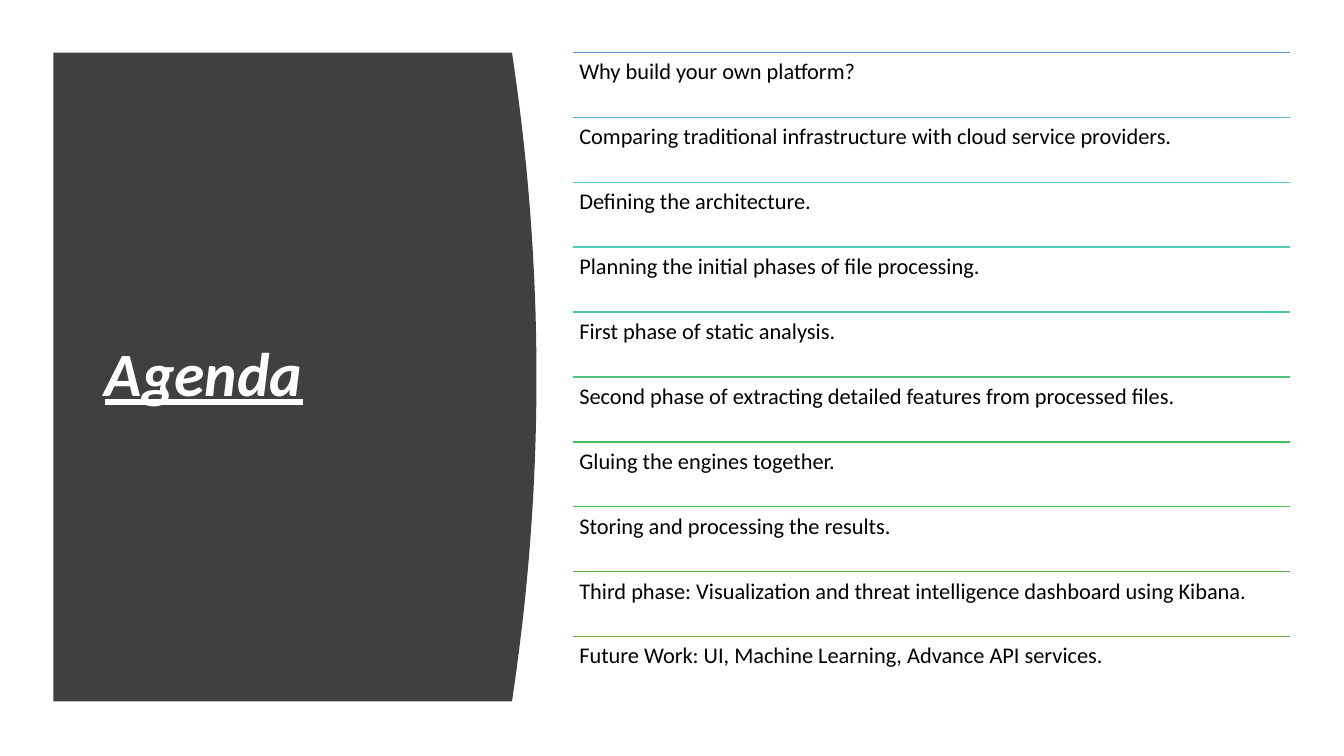
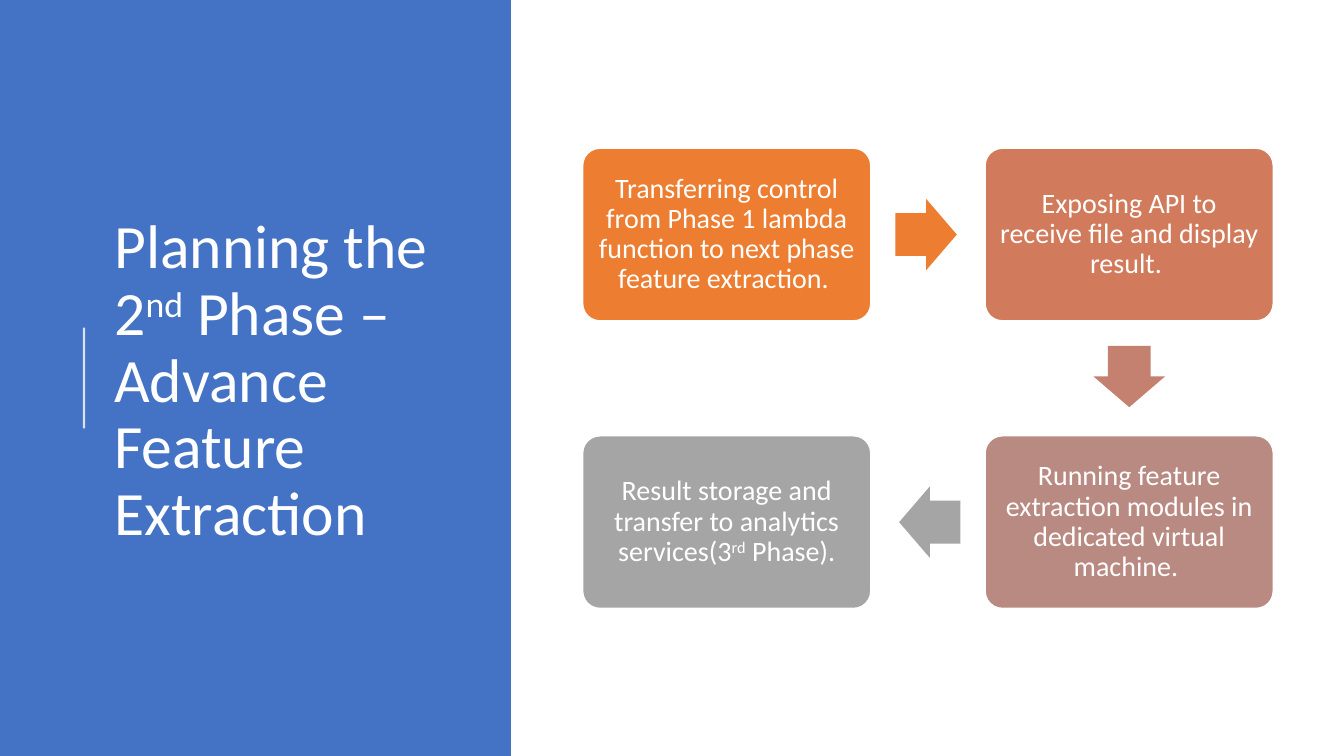
import math

from lxml import etree
from pptx import Presentation
from pptx.dml.color import RGBColor
from pptx.enum.shapes import MSO_CONNECTOR, MSO_SHAPE
from pptx.enum.text import MSO_ANCHOR, MSO_AUTO_SIZE, PP_ALIGN
from pptx.oxml.ns import qn
from pptx.util import Pt

FONT = "Calibri"
WHITE = RGBColor(0xFF, 0xFF, 0xFF)
BLACK = RGBColor(0, 0, 0)
CHARCOAL = RGBColor(0x40, 0x40, 0x40)
BLUE = RGBColor(0x44, 0x72, 0xC4)
SLIDE_WIDTH, SLIDE_HEIGHT = 960, 540

# Text between two ^ signs is superscript.
AGENDA_TITLE = "Agenda"
AGENDA = [
    ("Why build your own platform?", RGBColor(0x5B, 0x9B, 0xD5)),
    ("Comparing traditional infrastructure with cloud service providers.", RGBColor(0x58, 0xB1, 0xD2)),
    ("Defining the architecture.", RGBColor(0x55, 0xC7, 0xCE)),
    ("Planning the initial phases of file processing.", RGBColor(0x52, 0xCA, 0xB8)),
    ("First phase of static analysis.", RGBColor(0x4F, 0xC7, 0x9C)),
    ("Second phase of extracting detailed features from processed files.", RGBColor(0x4C, 0xC3, 0x7F)),
    ("Gluing the engines together.", RGBColor(0x49, 0xBF, 0x64)),
    ("Storing and processing the results.", RGBColor(0x47, 0xBA, 0x49)),
    ("Third phase: Visualization and threat intelligence dashboard using Kibana.", RGBColor(0x5C, 0xB4, 0x47)),
    ("Future Work: UI, Machine Learning, Advance API services.", RGBColor(0x70, 0xAD, 0x47)),
]
PHASE_TITLE = "Planning the 2^nd^ Phase – Advance Feature Extraction"
# Text, colour, (column, row)
STEPS = [
    ("Transferring control from Phase 1 lambda function to next phase feature extraction. ",
     RGBColor(0xED, 0x7D, 0x31), (0, 0)),
    ("Exposing API to receive file and display result. ", RGBColor(0xD1, 0x7B, 0x5C), (1, 0)),
    ("Running feature extraction modules in dedicated virtual machine. ",
     RGBColor(0xB9, 0x8A, 0x82), (1, 1)),
    ("Result storage and transfer to analytics services(3^rd^ Phase).",
     RGBColor(0xA5, 0xA5, 0xA5), (0, 1)),
]
ARROW_COLORS = [RGBColor(0xED, 0x7D, 0x31), RGBColor(0xC4, 0x81, 0x70), RGBColor(0xA5, 0xA5, 0xA5)]


def points(*values):
    return [Pt(value) for value in values]


def write_text(paragraph, marked_text, size, color):
    for index, part in enumerate(marked_text.split("^")):
        run = paragraph.add_run()
        run.text = part
        if index % 2:
            run._r.get_or_add_rPr().set("baseline", "30000")
    font = paragraph.font
    font.name, font.size, font.color.rgb = FONT, Pt(size), color


def place(shape, left, top, width, height):
    shape.left, shape.top, shape.width, shape.height = points(left, top, width, height)


def set_title(slide, marked_text, box):
    """Fill the title, in front of the panel already drawn."""
    title = slide.shapes.title
    slide.shapes._spTree.append(title._element)
    place(title, *box)
    frame = title.text_frame
    frame.word_wrap, frame.auto_size = True, MSO_AUTO_SIZE.NONE
    frame.vertical_anchor = MSO_ANCHOR.MIDDLE
    paragraph = frame.paragraphs[0]
    paragraph.alignment, paragraph.line_spacing = PP_ALIGN.LEFT, 0.9
    write_text(paragraph, marked_text, 44, WHITE)
    return paragraph


def fill_shape(shape, color):
    shape.shadow.inherit = False
    shape.fill.solid()
    shape.fill.fore_color.rgb = color
    shape.line.fill.background()


def add_shape(slide, kind, box, color):
    shape = slide.shapes.add_shape(kind, *points(*box))
    fill_shape(shape, color)
    return shape


def add_line(slide, start, end, color, width):
    line = slide.shapes.add_connector(MSO_CONNECTOR.STRAIGHT, *points(*start, *end))
    line.line.color.rgb, line.line.width = color, Pt(width)
    etree.SubElement(line._element.spPr, qn("a:effectLst"))
    return line


def add_curved_panel(slide, left, top, right, height, bulge):
    """Draw a panel whose right edge is a parabola."""
    steps = 40
    edge = []
    for step in range(steps + 1):
        offset = 2 * step / steps - 1
        edge.append(tuple(points(right + bulge * (1 - offset ** 2), top + height * step / steps)))
    builder = slide.shapes.build_freeform(*points(left, top), scale=1.0)
    builder.add_line_segments(edge + [tuple(points(left, top + height))], close=True)
    fill_shape(builder.convert_to_shape(), CHARCOAL)


def build_agenda(presentation):
    slide = presentation.slides.add_slide(presentation.slide_layouts[1])
    top, height = 37.5, 463.5
    add_curved_panel(slide, 38.2, top, 365.7, height, 17.5)
    title = set_title(slide, AGENDA_TITLE, (67.7, 80, 269.3, 377.3))
    title.font.bold = title.font.italic = title.font.underline = True

    left, width = 409, 512.6
    pitch, line_height = height / len(AGENDA), 18
    body = slide.placeholders[1]
    place(body, left, top, width, height)
    frame = body.text_frame
    frame.word_wrap, frame.auto_size = True, MSO_AUTO_SIZE.NONE
    frame.vertical_anchor = MSO_ANCHOR.TOP
    frame.margin_left = frame.margin_right = frame.margin_top = frame.margin_bottom = Pt(4.8)
    for index, (item, color) in enumerate(AGENDA):
        y = top + index * pitch
        add_line(slide, (left, y), (left + width, y), color, 1)
        paragraph = frame.add_paragraph() if index else frame.paragraphs[0]
        properties = paragraph._p.get_or_add_pPr()
        properties.set("marL", "0")
        properties.set("indent", "0")
        etree.SubElement(properties, qn("a:buNone"))
        paragraph.line_spacing = Pt(line_height)
        paragraph.space_before, paragraph.space_after = Pt(0), Pt(pitch - line_height)
        write_text(paragraph, item, 16, BLACK)


def build_phase(presentation):
    slide = presentation.slides.add_slide(presentation.slide_layouts[5])
    add_shape(slide, MSO_SHAPE.RECTANGLE, (0, 0, 365, SLIDE_HEIGHT), BLUE)
    set_title(slide, PHASE_TITLE, (74.5, 56.2, 265.5, 433.4))
    accent = add_line(slide, (60, 306), (60, 234), WHITE, 1.5)
    color = accent._element.spPr.find(".//" + qn("a:srgbClr"))
    etree.SubElement(color, qn("a:alpha"), val="80000")

    left, top, width, height = 416.2, 105.9, 205.8, 123.3
    column_pitch, row_pitch = 287.5, 205.4
    centers = []
    for step, color, (column, row) in STEPS:
        x, y = left + column * column_pitch, top + row * row_pitch
        centers.append((x + width / 2, y + height / 2))
        box = add_shape(slide, MSO_SHAPE.ROUNDED_RECTANGLE, (x, y, width, height), color)
        box.adjustments[0] = 0.1
        box.line.color.rgb, box.line.width = WHITE, Pt(1)
        frame = box.text_frame
        frame.word_wrap, frame.vertical_anchor = True, MSO_ANCHOR.MIDDLE
        frame.margin_left = frame.margin_right = frame.margin_top = frame.margin_bottom = Pt(6)
        paragraph = frame.paragraphs[0]
        paragraph.alignment, paragraph.line_spacing = PP_ALIGN.CENTER, 0.9
        write_text(paragraph, step, 20, WHITE)

    arrow_width, arrow_height, setback = 43.8, 51, 1.3
    for (x1, y1), (x2, y2), color in zip(centers, centers[1:], ARROW_COLORS):
        angle = math.atan2(y2 - y1, x2 - x1)
        x = (x1 + x2) / 2 - setback * math.cos(angle)
        y = (y1 + y2) / 2 - setback * math.sin(angle)
        arrow = add_shape(slide, MSO_SHAPE.RIGHT_ARROW,
                          (x - arrow_width / 2, y - arrow_height / 2, arrow_width, arrow_height), color)
        arrow.adjustments[0], arrow.adjustments[1] = 0.6, 0.5
        arrow.rotation = round(math.degrees(angle))


def main():
    presentation = Presentation()
    presentation.slide_width, presentation.slide_height = points(SLIDE_WIDTH, SLIDE_HEIGHT)
    build_agenda(presentation)
    build_phase(presentation)
    presentation.save("out.pptx")


if __name__ == "__main__":
    main()
